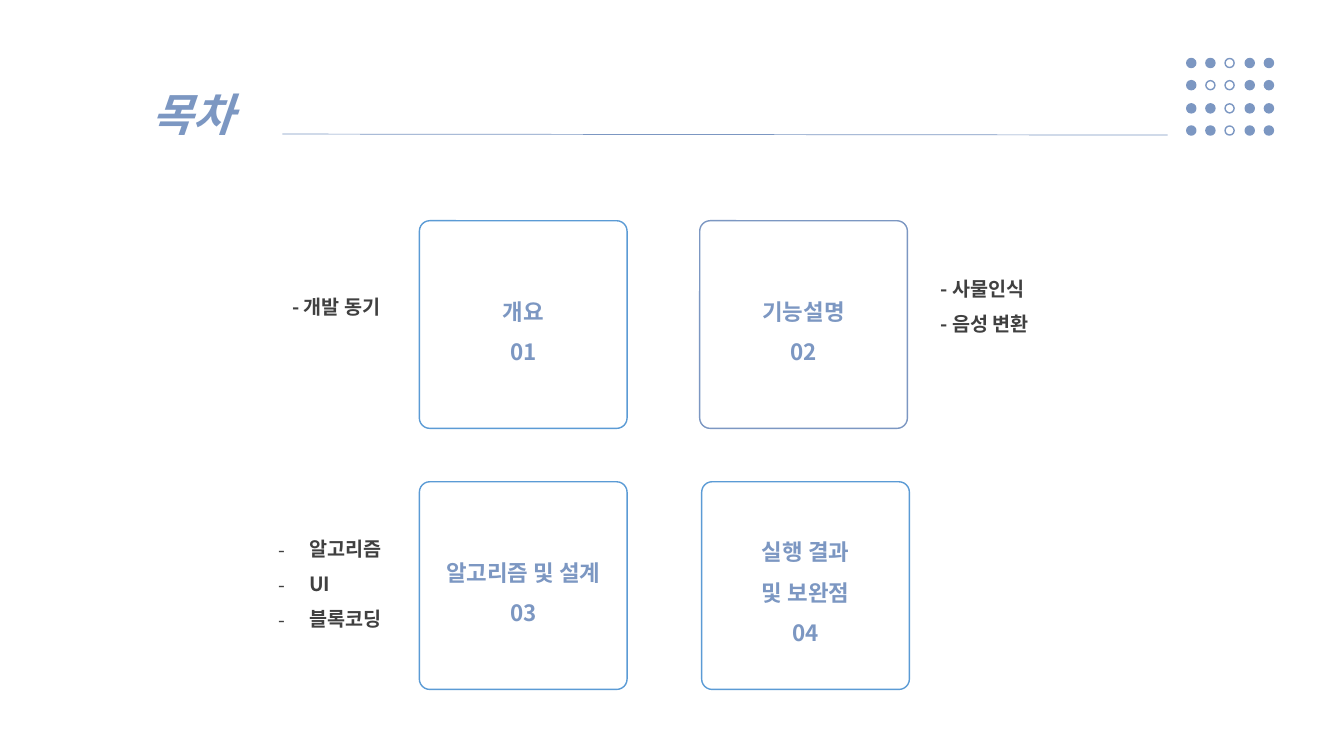
from itertools import product

from lxml.etree import SubElement
from pptx import Presentation
from pptx.dml.color import RGBColor as Rgb
from pptx.enum.shapes import MSO_CONNECTOR as Link, MSO_SHAPE as Kind
from pptx.enum.text import MSO_ANCHOR as Anchor, MSO_AUTO_SIZE as Fit, PP_ALIGN as Align
from pptx.oxml.ns import qn
from pptx.util import Pt

PX = 9144
FONT = "Noto Sans CJK KR"
COLORS = {"main": "7C97C2", "edge": "5B9BD5", "text": "404040", "white": "FFFFFF"}
HOLLOW = {(0, 2), (1, 1), (1, 2), (2, 2), (3, 2)}
CARDS = [
    (416, 219, "edge", ["개요", "01"]),
    (694, 219, "main", ["기능설명", "02"]),
    (416, 478, "edge", ["알고리즘 및 설계", "03"]),
    (696, 478, "edge", ["실행 결과", "및 보완점", "04"]),
]
NOTES = [
    ((280, 276, 150, 41), ["- 개발 동기"], False),
    ((923, 258, 178, 76), ["- 사물인식", "- 음성 변환"], False),
    ((266, 516, 150, 112), ["알고리즘", "UI", "블록코딩"], True),
]


def emu(*vals):
    """Turn px lengths into EMU."""
    return [round(val * PX) for val in vals]


def color(key):
    """Look up a colour by its name."""
    return Rgb.from_string(COLORS[key])


def dash(para):
    """Give a paragraph a hanging dash bullet."""
    props = para._p.get_or_add_pPr()
    props.set("marL", str(31 * PX))
    props.set("indent", str(-31 * PX))
    SubElement(props, qn("a:buFont")).set("typeface", FONT)
    SubElement(props, qn("a:buChar")).set("char", "-")


def write(frame, lines, size, tone, align=Align.LEFT, italic=False, bullet=False):
    """Fill a text frame with bold lines."""
    frame.word_wrap = True
    frame.text = "\n".join(lines)
    for para in frame.paragraphs:
        para.alignment = align
        para.line_spacing = 1.5
        if bullet:
            dash(para)
        font = para.font
        font.size, font.bold, font.italic = Pt(size), True, italic
        font.color.rgb = color(tone)
        font.name = FONT
        SubElement(font._element, qn("a:ea")).set("typeface", FONT)


def label(slide, box, lines, size, tone, **style):
    """Add a text box that grows with its text."""
    frame = slide.shapes.add_textbox(*emu(*box)).text_frame
    write(frame, lines, size, tone, **style)
    frame.auto_size = Fit.SHAPE_TO_FIT_TEXT


def plate(slide, kind, box, fill, line):
    """Add an outlined shape, hollow if it has no fill."""
    shape = slide.shapes.add_shape(kind, *emu(*box))
    shape.shadow.inherit = False
    if fill:
        shape.fill.solid()
        shape.fill.fore_color.rgb = color(fill)
    else:
        shape.fill.background()
    shape.line.color.rgb = color(line)
    shape.line.width = Pt(1)
    return shape


def card(slide, left, top, line, lines):
    """Add a rounded card with centred text."""
    shape = plate(slide, Kind.ROUNDED_RECTANGLE, (left, top, 206, 206), "white", line)
    shape.adjustments[0] = 0.05
    shape.text_frame.vertical_anchor = Anchor.MIDDLE
    write(shape.text_frame, lines, 16, "main", Align.CENTER)


def rule(slide, *ends):
    """Add the thin line beside the title."""
    line = slide.shapes.add_connector(Link.STRAIGHT, *emu(*ends))
    line.line.color.rgb = color("main")
    line.line.width = Pt(0.5)
    SubElement(line._element.spPr, qn("a:effectLst"))


def dots(slide):
    """Add the grid of full and hollow dots."""
    for row, col in product(range(4), range(5)):
        box = (1177 + round(19.2 * col), 58 + round(22.4 * row), 9, 9)
        plate(slide, Kind.OVAL, box, None if (row, col) in HOLLOW else "main", "main")


def main():
    """Build and save the contents slide."""
    deck = Presentation()
    deck.slide_width, deck.slide_height = emu(1333, 750)
    slide = deck.slides.add_slide(deck.slide_layouts[6])
    label(slide, (140, 54, 628, 80), ["목차"], 32, "main", italic=True)
    rule(slide, 280, 133, 1158, 134)
    dots(slide)
    for item in CARDS:
        card(slide, *item)
    for box, lines, bullet in NOTES:
        label(slide, box, lines, 14, "text", bullet=bullet)
    deck.save("out.pptx")


if __name__ == "__main__":
    main()
